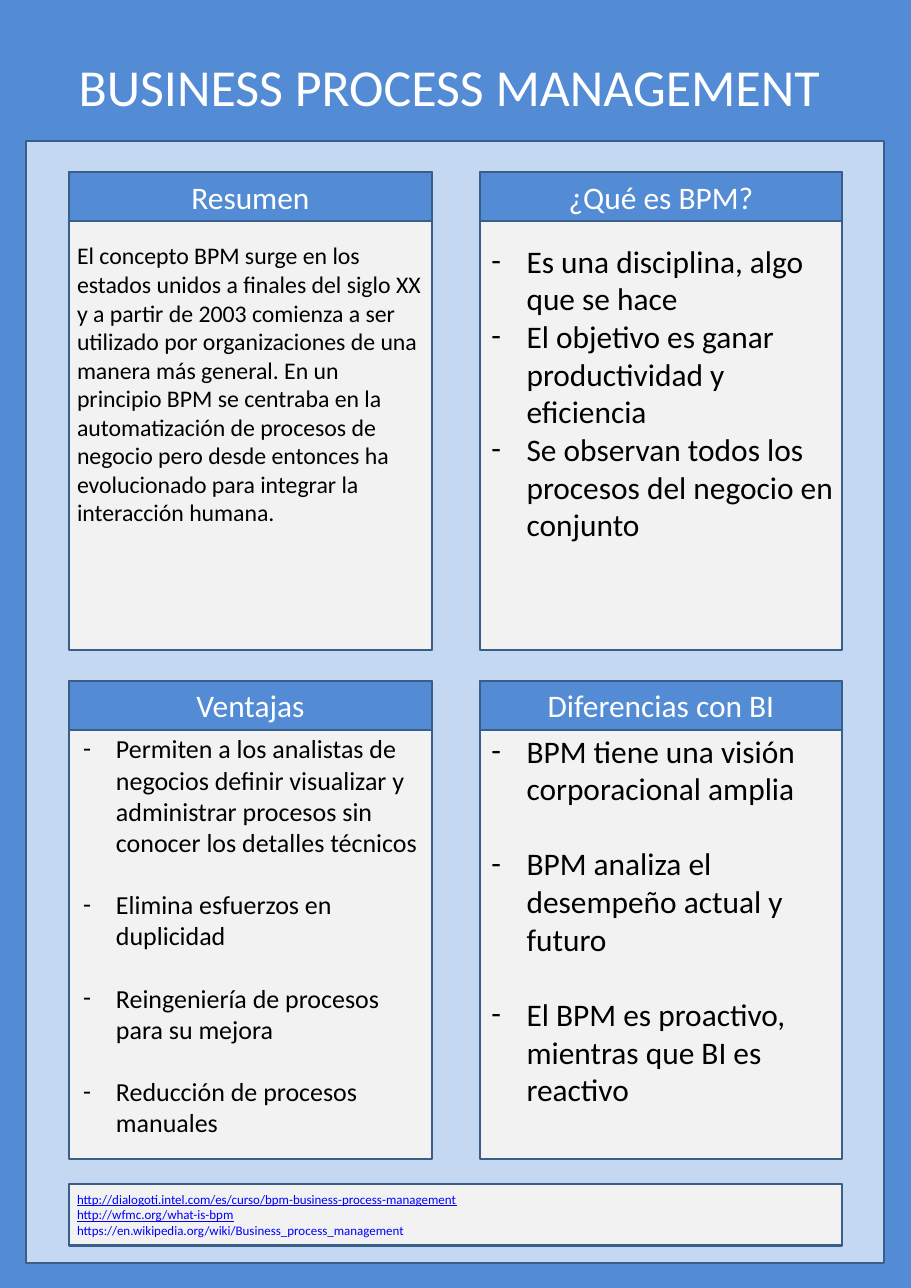
from dataclasses import dataclass
from pptx import Presentation
from pptx.dml.color import RGBColor
from pptx.enum.shapes import MSO_SHAPE
from pptx.enum.text import MSO_ANCHOR, MSO_AUTO_SIZE, PP_ALIGN
from pptx.oxml.ns import qn
from pptx.util import Inches, Mm, Pt
from lxml.etree import SubElement

TITLE = "BUSINESS PROCESS MANAGEMENT"
PANELS = [
    dict(head="Resumen", size=22, bottom=0.75, paras=[
        "El concepto BPM surge en los estados unidos a finales del siglo XX y a partir de 2003 "
        "comienza a ser utilizado por organizaciones de una manera más general. En un principio "
        "BPM se centraba en la automatización de procesos de negocio pero desde entonces ha "
        "evolucionado para integrar la interacción humana."]),
    dict(head="¿Qué es BPM?", size=29, bottom=0.53, hang=0.45, paras=[
        "Es una disciplina, algo que se hace",
        "El objetivo es ganar productividad y eficiencia",
        "Se observan todos los procesos del negocio en conjunto"]),
    dict(head="Ventajas", size=24, top=0.45, hang=0.42, gap=28.8, paras=[
        "Permiten a los analistas de negocios definir visualizar y administrar procesos sin "
        "conocer los detalles técnicos",
        "Elimina esfuerzos en duplicidad",
        "Reingeniería de procesos para su mejora",
        "Reducción de procesos manuales"]),
    dict(head="Diferencias con BI", size=29, hang=0.45, gap=34.8, paras=[
        "BPM tiene una visión corporacional amplia",
        "BPM analiza el desempeño actual y futuro",
        "El BPM es proactivo, mientras que BI es reactivo"]),
]
LINKS = [
    ("http://dialogoti.intel.com/es/curso/bpm-business-process-management", True),
    ("http://wfmc.org/what-is-bpm", True),
    ("https://en.wikipedia.org/wiki/Business_process_management", False),
]


@dataclass
class Theme:
    font: str = "Calibri"
    blue: str = "538CD5"
    pale: str = "C5D8F1"
    paper: str = "F2F2F2"
    edge: str = "395E89"
    white: str = "FFFFFF"
    ink: str = "000000"
    link: str = "0000FF"
    title: int = 48
    head: int = 29
    small: int = 12


T = Theme()
LEFT, TOP = 0.89, 2.21
PANEL_W, PANEL_H, HEAD_H = 4.65, 6.14, 0.63
STEP_X, STEP_Y = 5.27, 6.53
FULL_W = STEP_X + PANEL_W


def add_box(s, x, y, w, h, fill):
    sp = s.shapes.add_shape(MSO_SHAPE.RECTANGLE, Inches(x), Inches(y), Inches(w), Inches(h))
    sp.shadow.inherit = False
    sp.fill.solid()
    sp.fill.fore_color.rgb = RGBColor.from_string(fill)
    sp.line.color.rgb = RGBColor.from_string(T.edge)
    sp.line.width = Pt(2)
    return sp


def set_frame(tf, top=0.05, bottom=0.05, anchor=MSO_ANCHOR.MIDDLE):
    frame = dict(word_wrap=True, auto_size=MSO_AUTO_SIZE.NONE, vertical_anchor=anchor,
                 margin_left=Inches(0.1), margin_right=Inches(0.1),
                 margin_top=Inches(top), margin_bottom=Inches(bottom))
    for name, value in frame.items():
        setattr(tf, name, value)


def add_bullet(p, hang):
    pPr = p._p.get_or_add_pPr()
    pPr.set("marL", str(Inches(0.5)))
    pPr.set("indent", str(-Inches(hang)))
    SubElement(pPr, qn("a:buFont")).set("typeface", T.font)
    SubElement(pPr, qn("a:buChar")).set("char", "-")


def write(tf, lines, size, color, align=PP_ALIGN.LEFT, hang=0, gap=0):
    for i, (text, underline) in enumerate(lines):
        p = tf.paragraphs[0] if i == 0 else tf.add_paragraph()
        p.alignment = align
        if i and gap:
            p.space_before = Pt(gap)
        if hang:
            add_bullet(p, hang)
        r = p.add_run()
        r.text = text
        for name, value in dict(name=T.font, size=Pt(size), underline=underline).items():
            setattr(r.font, name, value)
        r.font.color.rgb = RGBColor.from_string(color)


def add_title(s):
    sp = s.shapes.title
    place = dict(left=0.81, top=0.65, width=FULL_W, height=0.93)
    for name, value in place.items():
        setattr(sp, name, Inches(value))
    set_frame(sp.text_frame, anchor=MSO_ANCHOR.TOP)
    write(sp.text_frame, [(TITLE, False)], T.title, T.white, PP_ALIGN.CENTER)


def add_panel(s, i, panel):
    x, y = LEFT + i % 2 * STEP_X, TOP + i // 2 * STEP_Y
    body = add_box(s, x, y, PANEL_W, PANEL_H, T.paper).text_frame
    set_frame(body, panel.get("top", 0.05), panel.get("bottom", 0.05))
    write(body, [(text, False) for text in panel["paras"]], panel["size"], T.ink,
          hang=panel.get("hang", 0), gap=panel.get("gap", 0))
    head = add_box(s, x, y, PANEL_W, HEAD_H, T.blue).text_frame
    set_frame(head)
    write(head, [(panel["head"], False)], T.head, T.white, PP_ALIGN.CENTER)


def main():
    prs = Presentation()
    prs.slide_width, prs.slide_height = Mm(297), Mm(420)
    s = prs.slides.add_slide(prs.slide_layouts[5])
    s.background.fill.solid()
    s.background.fill.fore_color.rgb = RGBColor.from_string(T.blue)
    add_title(s)
    add_box(s, 0.33, 1.81, 11.02, 14.41, T.pale)
    for i, panel in enumerate(PANELS):
        add_panel(s, i, panel)
    links = add_box(s, LEFT, 15.2, FULL_W, 0.79, T.paper).text_frame
    set_frame(links)
    write(links, LINKS, T.small, T.link)
    prs.save("out.pptx")


if __name__ == "__main__":
    main()
